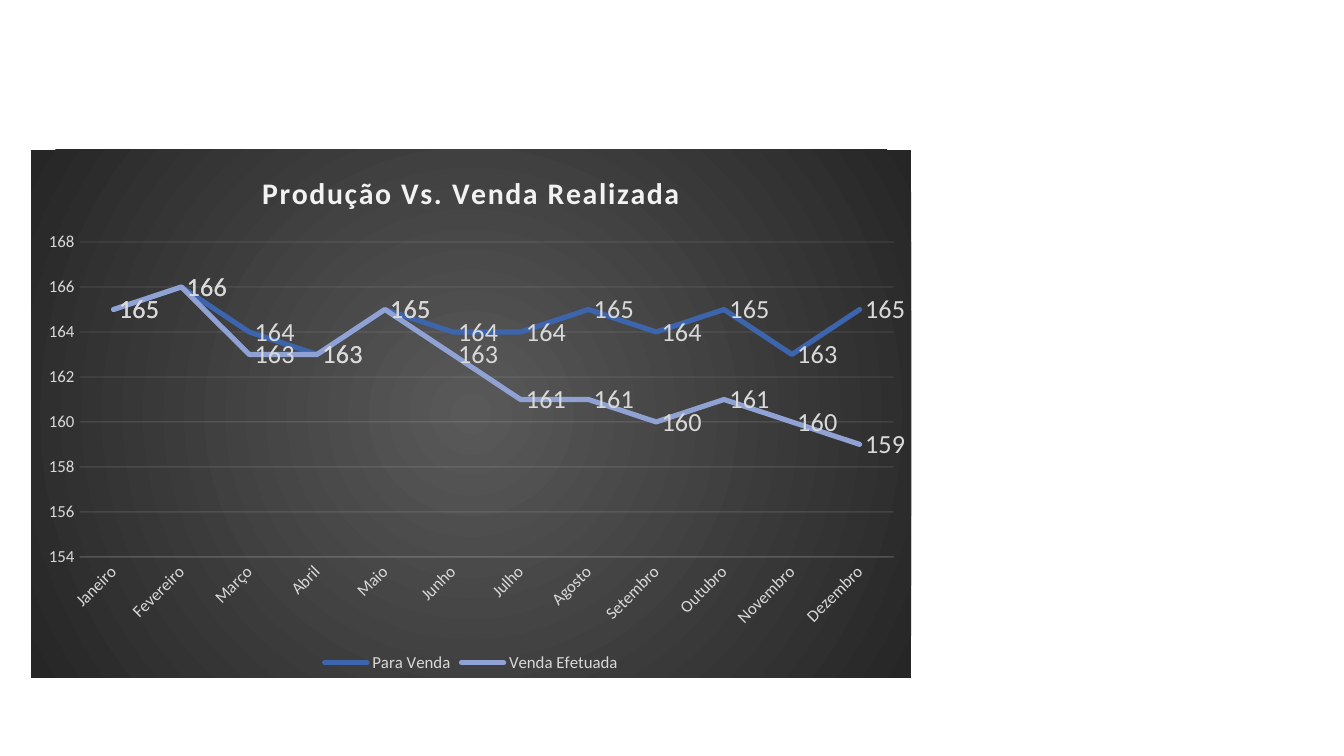
from lxml import etree
from pptx import Presentation
from pptx.chart.data import CategoryChartData
from pptx.dml.color import RGBColor
from pptx.enum.chart import (XL_CHART_TYPE, XL_LABEL_POSITION, XL_LEGEND_POSITION,
                             XL_MARKER_STYLE, XL_TICK_MARK)
from pptx.oxml import parse_xml
from pptx.oxml.ns import nsdecls, qn
from pptx.util import Pt

FONT = "Calibri"
LIGHT = "F2F2F2"
LABEL = "D9D9D9"


def color(value):
    return RGBColor.from_string(value)


def set_font(font, size, value):
    font.name = FONT
    font.size = Pt(size)
    font.color.rgb = color(value)


presentation = Presentation()
presentation.slide_width = Pt(720)
presentation.slide_height = Pt(405)
slide = presentation.slides.add_slide(presentation.slide_layouts[6])

# Monthly production and sales
months = ["Janeiro", "Fevereiro", "Março", "Abril", "Maio", "Junho", "Julho",
          "Agosto", "Setembro", "Outubro", "Novembro", "Dezembro"]
series_data = [
    ("Para Venda", "3C65AE",
     [165, 166, 164, 163, 165, 164, 164, 165, 164, 165, 163, 165]),
    ("Venda Efetuada", "90A2D3",
     [165, 166, 163, 163, 165, 163, 161, 161, 160, 161, 160, 159]),
]
chart_data = CategoryChartData()
chart_data.categories = months
for name, line_color, values in series_data:
    chart_data.add_series(name, values)
chart = slide.shapes.add_chart(XL_CHART_TYPE.LINE, Pt(16.7), Pt(80.2), Pt(471.5),
                               Pt(283), chart_data).chart
set_font(chart.font, 10, "000000")

# Radial background
background = parse_xml(
    f'<c:spPr {nsdecls("c", "a")}><a:gradFill><a:gsLst>'
    '<a:gs pos="0"><a:srgbClr val="595959"/></a:gs>'
    '<a:gs pos="100000"><a:srgbClr val="262626"/></a:gs></a:gsLst>'
    '<a:path path="circle"><a:fillToRect l="50000" t="50000" r="50000" b="50000"/>'
    '</a:path></a:gradFill><a:ln><a:noFill/></a:ln></c:spPr>')
chart.element.find(qn("c:chart")).addnext(background)

# Title
chart.has_title = True
chart.chart_title.include_in_layout = False
run = chart.chart_title.text_frame.paragraphs[0].add_run()
run.text = "Produção Vs. Venda Realizada"
set_font(run.font, 16, LIGHT)
run.font.bold = True
run.font._element.set("spc", "100")

# Legend
chart.has_legend = True
chart.legend.position = XL_LEGEND_POSITION.BOTTOM
chart.legend.include_in_layout = False
set_font(chart.legend.font, 9, LABEL)

# Axes and gridlines
category_axis, value_axis = chart.category_axis, chart.value_axis
for axis in (category_axis, value_axis):
    axis.major_tick_mark = XL_TICK_MARK.NONE
    axis.minor_tick_mark = XL_TICK_MARK.NONE
    set_font(axis.tick_labels.font, 9, LABEL)
value_axis.minimum_scale = 154
value_axis.maximum_scale = 168
value_axis.major_unit = 2
value_axis.has_major_gridlines = True
value_axis.format.line.fill.background()
for line in (category_axis.format.line, value_axis.major_gridlines.format.line):
    line.width = Pt(0.75)
    line.color.rgb = color(LIGHT)
for line_color in chart.element.xpath(".//c:catAx/c:spPr//a:srgbClr"
                                      " | .//c:majorGridlines//a:srgbClr"):
    etree.SubElement(line_color, qn("a:alpha")).set("val", "10000")
for body in chart.element.xpath(".//c:catAx/c:txPr/a:bodyPr"):
    body.set("rot", "-2700000")

# Lines and value labels
plot = chart.plots[0]
plot.vary_by_categories = False
for series, (name, line_color, values) in zip(plot.series, series_data):
    series.smooth = False
    series.marker.style = XL_MARKER_STYLE.NONE
    series.format.line.width = Pt(2.75)
    series.format.line.color.rgb = color(line_color)
    labels = series.data_labels
    labels.show_value = True
    labels.position = XL_LABEL_POSITION.RIGHT
    set_font(labels.font, 14, LABEL)
for outline in chart.element.xpath(".//c:ser/c:spPr/a:ln"):
    outline.set("cap", "rnd")

presentation.save("out.pptx")
